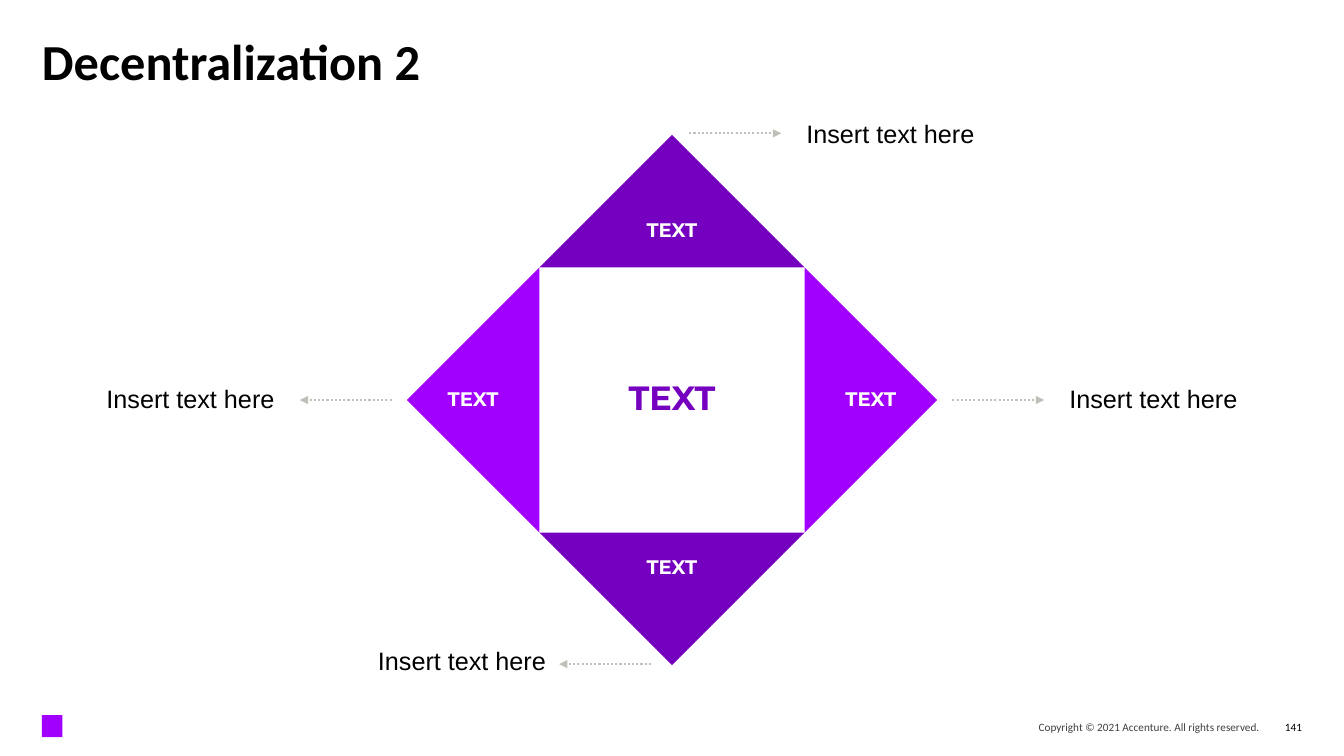
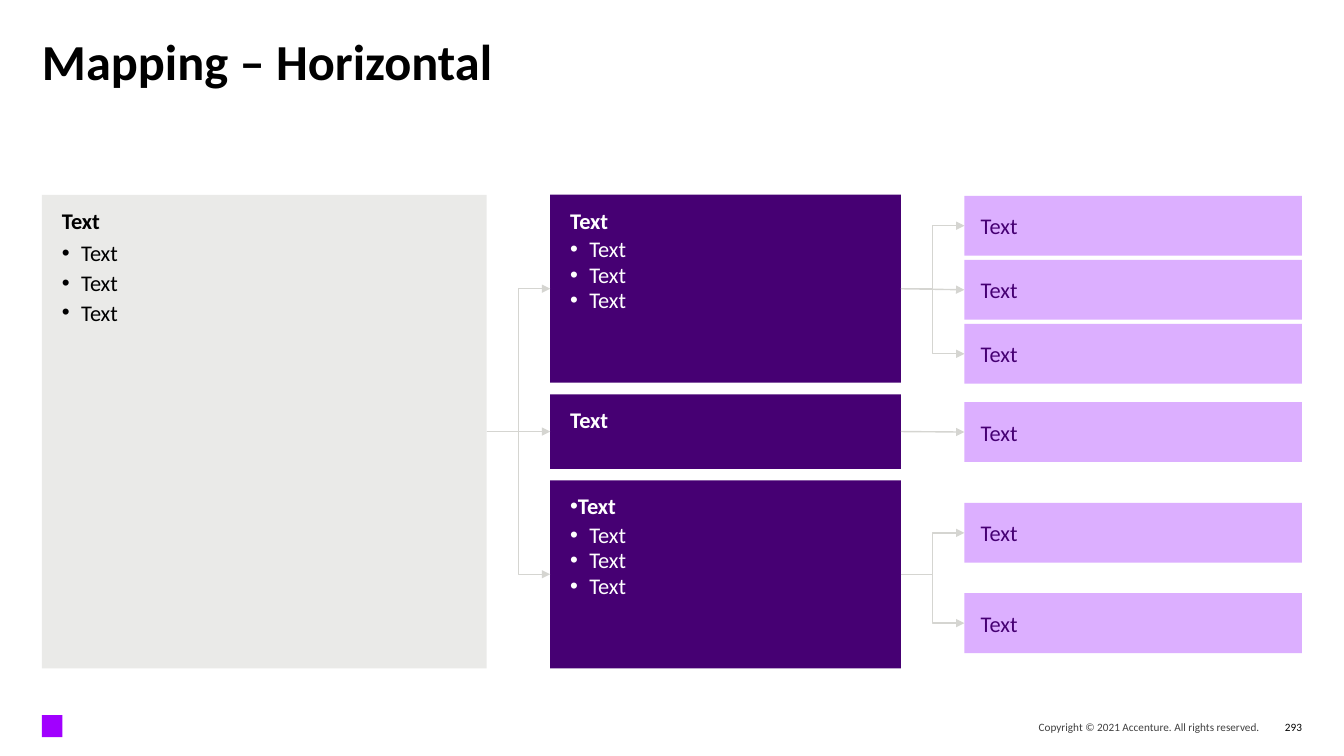
from lxml.etree import SubElement
from pptx import Presentation
from pptx.dml.color import RGBColor
from pptx.enum.dml import MSO_LINE
from pptx.enum.shapes import MSO_CONNECTOR, MSO_SHAPE
from pptx.enum.text import MSO_ANCHOR, MSO_AUTO_SIZE, PP_ALIGN
from pptx.oxml.ns import qn
from pptx.util import Inches, Pt

BLACK = RGBColor(0x00, 0x00, 0x00)
WHITE = RGBColor(0xFF, 0xFF, 0xFF)
INK = RGBColor(0x40, 0x40, 0x40)
VIVID = RGBColor(0xA1, 0x00, 0xFF)
GRAPE = RGBColor(0x75, 0x00, 0xC0)
PLUM = RGBColor(0x46, 0x00, 0x73)
LILAC = RGBColor(0xDC, 0xAF, 0xFF)
PALE = RGBColor(0xEA, 0xEA, 0xE8)
RULE = RGBColor(0xD5, 0xD5, 0xD1)
DOTS = RGBColor(0xC0, 0xC0, 0xBA)

# The slide is a grid of square cells.
COLS, ROWS = 128, 72
CELL = 7.5 / ROWS
EDGE, SPAN = 4, 120

TOP, MID, LOW = MSO_ANCHOR.TOP, MSO_ANCHOR.MIDDLE, MSO_ANCHOR.BOTTOM
LEFT, MIDST, RIGHT = PP_ALIGN.LEFT, PP_ALIGN.CENTER, PP_ALIGN.RIGHT
TIGHT = dict(line_spacing=0.85, space_after=Pt(3))


def cells(*counts):
    """Turn counts of grid cells into lengths."""
    return [Inches(n * CELL) for n in counts]


def put(item, values):
    for name, value in values.items():
        setattr(item, name, value)


def face(name, size, color, bold=False):
    return dict(name=name, size=Pt(size), bold=bold), color


def frame(shape, anchor=TOP, pads=(0, 0, 0, 0), wrap=True):
    sides = ("margin_left", "margin_top", "margin_right", "margin_bottom")
    text = shape.text_frame
    put(text, dict(zip(sides, cells(*pads)), word_wrap=wrap,
                   auto_size=MSO_AUTO_SIZE.NONE, vertical_anchor=anchor))
    return text


def write(para, words, look, align=LEFT, dent=None, **gaps):
    """Fill a paragraph; dent is the left indent of a bulleted one."""
    if dent is not None:
        props = para._p.get_or_add_pPr()
        hang = Inches(0.19)
        props.set("marL", str(Inches(dent)))
        props.set("indent", str(-hang))
        SubElement(props, qn("a:buFont"), typeface="Arial")
        SubElement(props, qn("a:buChar"), char="•")
    put(para, dict(alignment=align, **gaps))
    run = para.add_run()
    run.text = words
    values, color = look
    put(run.font, values)
    run.font.color.rgb = color


def label(slide, box, words, look, align=LEFT, anchor=MID, wrap=True, **gaps):
    shape = slide.shapes.add_textbox(*cells(*box))
    text = frame(shape, anchor, wrap=wrap)
    write(text.paragraphs[0], words, look, align, **gaps)


def block(slide, box, color, kind=MSO_SHAPE.RECTANGLE):
    shape = slide.shapes.add_shape(kind, *cells(*box))
    shape.shadow.inherit = False
    shape.fill.solid()
    shape.fill.fore_color.rgb = color
    shape.line.fill.background()
    return shape


def arrow(slide, kind, ends, color, width, dash=None):
    link = slide.shapes.add_connector(kind, *ends)
    link.line.color.rgb = color
    link.line.width = Pt(width)
    if dash:
        link.line.dash_style = dash
    SubElement(link.get_or_add_ln(), qn("a:tailEnd"), type="triangle")
    SubElement(link._element.spPr, qn("a:effectLst"))
    return link


def join(slide, start, end):
    """Link the right side of one block to the left side of another."""
    y, goal = (s.top + s.height // 2 for s in (start, end))
    level = abs(goal - y) < Inches(CELL)
    kind = MSO_CONNECTOR.STRAIGHT if level else MSO_CONNECTOR.ELBOW
    ends = (start.left + start.width, y, end.left, goal)
    link = arrow(slide, kind, ends, RULE, 1)
    link.begin_connect(start, 3)
    link.end_connect(end, 1)


def base(deck, title, number):
    """Add a slide with the shared title and footer."""
    slide = deck.slides.add_slide(deck.slide_layouts[5])
    head = slide.shapes.title
    write(frame(head).paragraphs[0], title, face("Calibri", 36, BLACK, True),
          line_spacing=0.8)
    block(slide, (EDGE, 68.1, 1.95, 2.1), VIVID)
    label(slide, (76.8, 68.15, 43.2, 2.1),
          "Copyright © 2021 Accenture. All rights reserved.",
          face("Calibri", 8, INK), RIGHT)
    label(slide, (120.55, 68.15, 3.45, 2.1), number,
          face("Calibri", 8, BLACK), RIGHT, wrap=False)
    return slide


def callout(slide, x, y, way, anchor, gap=2.4):
    """Dotted arrow from x, y with text past its head; way is 1 or -1."""
    reach, wide, high, rise = 8.75, 21.3, 10.2, 1.15
    tip = x + way * reach
    arrow(slide, MSO_CONNECTOR.STRAIGHT, cells(x, y, tip, y), DOTS, 1.5,
          MSO_LINE.ROUND_DOT)
    left = tip + gap if way > 0 else tip - gap - wide
    top = {TOP: y - rise, MID: y - high / 2, LOW: y + rise - high}[anchor]
    label(slide, (left, top, wide, high), "Insert text here",
          face("Arial", 18, BLACK), LEFT if way > 0 else RIGHT, anchor,
          line_spacing=0.9)


def diamond(slide, box):
    """Four triangles round a square, each with a label and a callout."""
    left, top, side, _ = box
    core = side / 2
    half = core / 2
    x, y = left + core, top + core
    label(slide, (x - half, y - half, core, core), "TEXT",
          face("Montserrat", 24, GRAPE, True), MIDST, **TIGHT)
    wide, high = half, 6.9
    ways = ((0, -1, GRAPE), (1, 0, VIVID), (0, 1, GRAPE), (-1, 0, VIVID))
    for turn, (dx, dy, color) in enumerate(ways):
        far = half * 1.5
        wedge = block(slide, (x + dx * far - half, y + dy * far - half / 2,
                              core, half), color,
                      MSO_SHAPE.ISOSCELES_TRIANGLE)
        wedge.rotation = 90 * turn
        label(slide, (x + dx * (half + wide / 2) - wide / 2,
                      y + dy * (half + high / 2) - high / 2, wide, high),
              "TEXT", face("Montserrat", 14, WHITE, True), MIDST, **TIGHT)
    callout(slide, x + 1.65, top - 0.15, 1, TOP)
    callout(slide, x + core + 1.45, y, 1, MID)
    callout(slide, x - 2, top + side - 0.1, -1, LOW, 1.25)
    callout(slide, x - core - 1.45, y, -1, MID)


def panel(slide, box, fill, color, count, dent=None, pitch=0.85):
    """Block with a bold heading and a bulleted list."""
    shape = block(slide, box, fill)
    text = frame(shape, pads=(1.9, 1.55, 0.75, 0.75))
    write(text.paragraphs[0], "Text", face("Calibri", 16, color, True),
          dent=dent, **TIGHT)
    for _ in range(count):
        write(text.add_paragraph(), "Text", face("Calibri", 16, color),
              dent=0.19, line_spacing=pitch, space_before=Pt(1),
              space_after=Pt(1))
    return shape


def leaf(slide, box):
    shape = block(slide, box, LILAC)
    text = frame(shape, MID, (1.55, 1.15, 1.15, 1.15))
    write(text.paragraphs[0], "Text", face("Calibri", 16, PLUM))
    return shape


def tree(slide, box):
    """Root panel, three branches and their leaves, from left to right."""
    left, top, wide, high = box
    gap, first, second = 6.05, 42.35, 33.4
    mid = left + first + gap
    last = mid + second + gap
    root = panel(slide, (left, top, first, high), PALE, BLACK, 3, pitch=1.0)
    # height, bullets, heading indent, leaves, first leaf offset, leaf step
    rows = ((17.9, 3, None, 3, 0.1, 6.1),
            (7.1, 0, None, 1, 0.75, 0),
            (17.9, 3, 0, 2, 2.15, 8.6))
    space = (high - sum(row[0] for row in rows)) / (len(rows) - 1)
    y = top
    for tall, count, dent, leaves, start, step in rows:
        branch = panel(slide, (mid, y, second, tall), PLUM, WHITE, count, dent)
        join(slide, root, branch)
        for i in range(leaves):
            spot = (last, y + start + i * step, left + wide - last, 5.7)
            join(slide, branch, leaf(slide, spot))
        y += tall + space


def main():
    deck = Presentation()
    deck.slide_width, deck.slide_height = cells(COLS, ROWS)
    head = deck.slide_layouts[5].placeholders[0]
    put(head, dict(zip(("left", "top", "width", "height"),
                       cells(EDGE, EDGE, SPAN, 8.4))))
    diamond(base(deck, "Decentralization 2", "141"), (38.75, 12.85, 50.5, 50.5))
    tree(base(deck, "Mapping – Horizontal", "293"), (EDGE, 18.55, SPAN, 45.1))
    deck.save("out.pptx")


if __name__ == "__main__":
    main()
